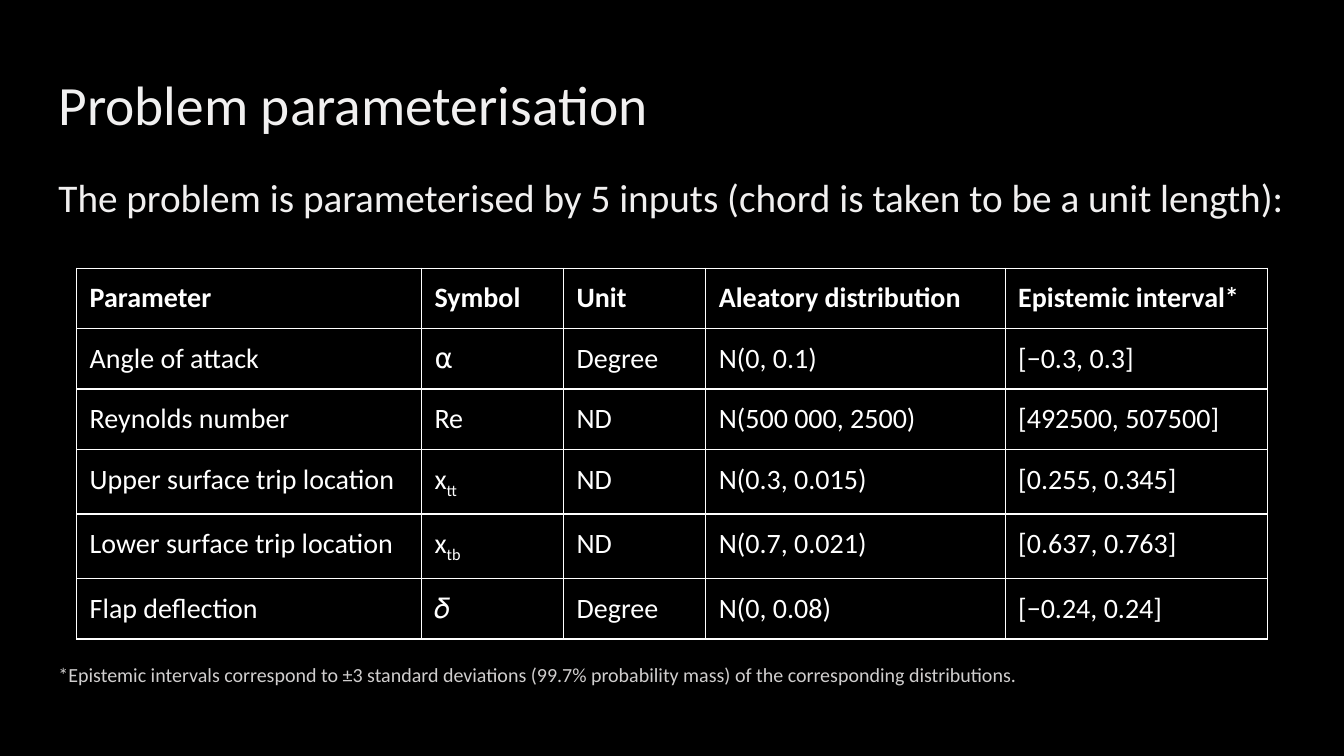
from pptx import Presentation
from pptx.dml.color import RGBColor
from pptx.enum.text import MSO_ANCHOR
from pptx.util import Inches, Pt

TOP, MIDDLE = MSO_ANCHOR.TOP, MSO_ANCHOR.MIDDLE
PADDING = Inches(0.13)
BLACK, WHITE, OFF_WHITE, GREY = "000000", "FFFFFF", "F1F0F0", "D0CECE"


def color(hex_string):
    return RGBColor.from_string(hex_string)


def style(paragraph, size, hex_string, bold=False):
    font = paragraph.font
    font.name = "Calibri"
    font.size = Pt(size)
    font.bold = bold
    font.color.rgb = color(hex_string)


prs = Presentation()
prs.slide_width = Inches(13.33)
prs.slide_height = Inches(7.5)
slide = prs.slides.add_slide(prs.slide_layouts[6])
slide.background.fill.solid()
slide.background.fill.fore_color.rgb = color(BLACK)

texts = [
    ("Problem parameterisation", 0.65, 0.84, 39.6, OFF_WHITE, MIDDLE, 0.9),
    ("The problem is parameterised by 5 inputs (chord is taken to be a unit length):",
     1.68, 0.7, 28, OFF_WHITE, TOP, 0.8),
    ("*Epistemic intervals correspond to ±3 standard deviations (99.7% probability mass) "
     "of the corresponding distributions.", 6.46, 0.5, 14.3, GREY, MIDDLE, 0.8),
]
for text, top, height, size, hex_string, anchor, spacing in texts:
    frame = slide.shapes.add_textbox(
        Inches(0.45), Inches(top), Inches(12.88), Inches(height)).text_frame
    frame.word_wrap = True
    frame.vertical_anchor = anchor
    frame.margin_left = frame.margin_right = PADDING
    frame.margin_top = frame.margin_bottom = PADDING
    paragraph = frame.paragraphs[0]
    paragraph.text = text
    paragraph.line_spacing = spacing
    style(paragraph, size, hex_string)

column_widths = [3.42, 1.41, 1.41, 2.97, 2.6]
parameters = [
    ["Parameter", "Symbol", "Unit", "Aleatory distribution", "Epistemic interval*"],
    ["Angle of attack", "⍺", "Degree", "N(0, 0.1)", "[−0.3, 0.3]"],
    ["Reynolds number", "Re", "ND", "N(500 000, 2500)", "[492500, 507500]"],
    ["Upper surface trip location", "x_tt", "ND", "N(0.3, 0.015)", "[0.255, 0.345]"],
    ["Lower surface trip location", "x_tb", "ND", "N(0.7, 0.021)", "[0.637, 0.763]"],
    ["Flap deflection", "𝛿", "Degree", "N(0, 0.08)", "[−0.24, 0.24]"],
]
table = slide.shapes.add_table(
    len(parameters), len(column_widths),
    Inches(0.76), Inches(2.66), Inches(11.81), Inches(3.6)).table
table.first_row = table.horz_banding = False
for column, width in zip(table.columns, column_widths):
    column.width = Inches(width)

for row, values in enumerate(parameters):
    for col, value in enumerate(values):
        cell = table.cell(row, col)
        cell.fill.solid()
        cell.fill.fore_color.rgb = color(BLACK)
        cell.margin_left = cell.margin_right = PADDING
        cell.margin_top = cell.margin_bottom = PADDING
        paragraph = cell.text_frame.paragraphs[0]
        style(paragraph, 20, WHITE, bold=row == 0)
        base, _, subscript = value.partition("_")
        paragraph.add_run().text = base
        if subscript:
            run = paragraph.add_run()
            run.text = subscript
            run.font._element.set("baseline", "-25000")

prs.save("out.pptx")
